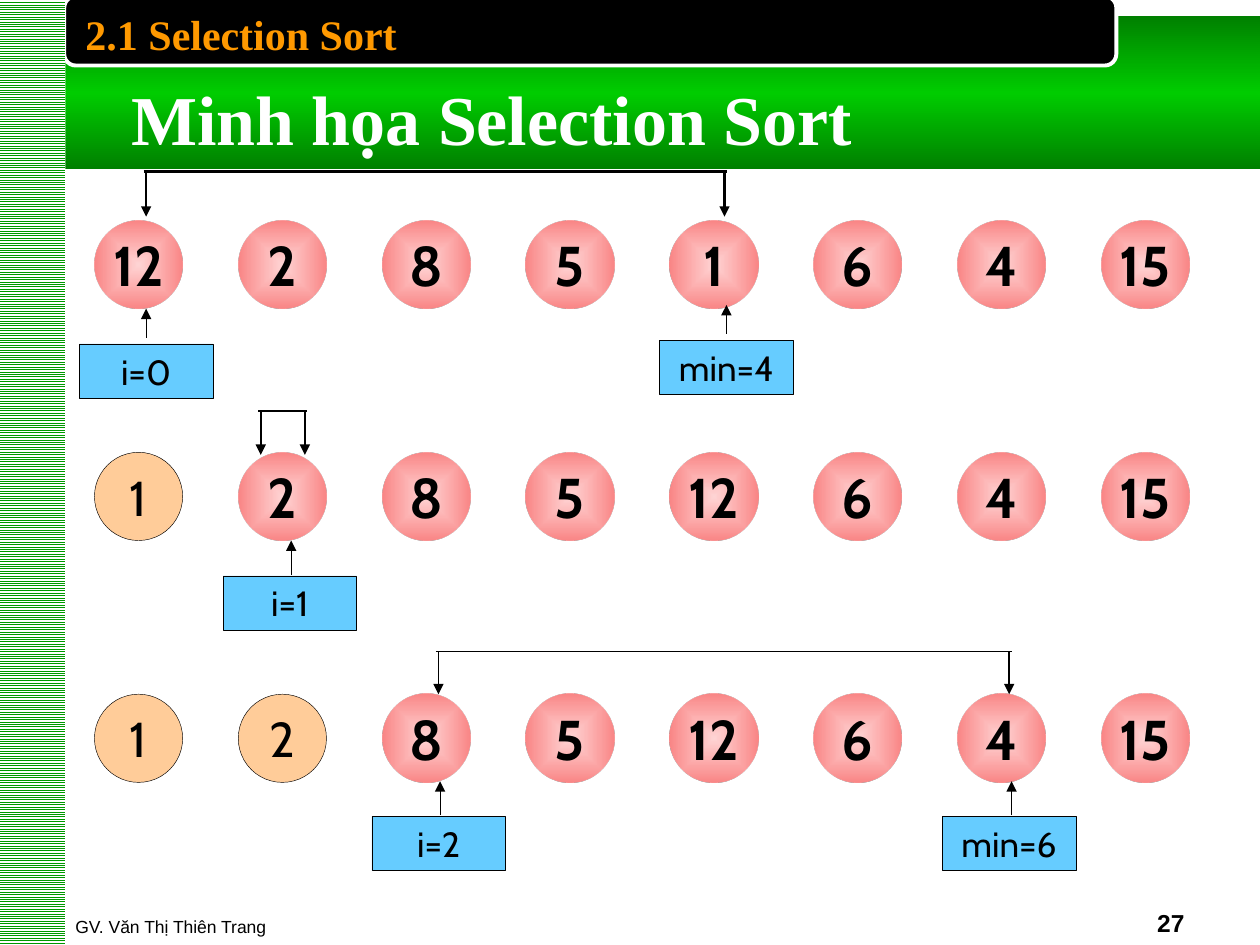
from lxml import etree
from pptx import Presentation
from pptx.dml.color import RGBColor
from pptx.enum.dml import MSO_PATTERN
from pptx.enum.shapes import MSO_CONNECTOR, MSO_SHAPE
from pptx.enum.text import MSO_ANCHOR, MSO_AUTO_SIZE, PP_ALIGN
from pptx.oxml.ns import qn
from pptx.util import Inches, Pt

RECT, ROUND, OVAL = MSO_SHAPE.RECTANGLE, MSO_SHAPE.ROUNDED_RECTANGLE, MSO_SHAPE.OVAL
LEFT, MID, RIGHT = PP_ALIGN.LEFT, PP_ALIGN.CENTER, PP_ALIGN.RIGHT
TOP, CENTER, BOTTOM = MSO_ANCHOR.TOP, MSO_ANCHOR.MIDDLE, MSO_ANCHOR.BOTTOM
STRAIGHT = MSO_CONNECTOR.STRAIGHT

COLORS = {
    "black": "000000", "white": "FFFFFF", "orange": "FF9900",
    "green": "008000", "lime": "00CC00", "stripe": "009900",
    "glow": "FF8989", "rose": "FA8686", "peach": "FFCC99", "sky": "66CCFF",
}
HEAD, BODY, NOTE = "Times New Roman", "Cabin", "Arial"

BALL = 0.7
STEP = 7.99 / 7
TAG_W, TAG_H = 1.06, 0.43

# swap: left, right, rise above the row, drop of the legs, line width
# tags: text, column, shift from that column, top below the row, arrow shift
PASSES = [
    {"top": 1.75, "values": [12, 2, 8, 5, 1, 6, 4, 15], "done": 0, "stem": 0.23,
     "swap": (0.39, 5.02, 0.39, 0.36, 1.5),
     "tags": [("i=0", 0, -0.12, 0.98, 0.53), ("min=4", 4, -0.08, 0.95, 0.53)]},
    {"top": 3.59, "values": [1, 2, 8, 5, 12, 6, 4, 15], "done": 1, "stem": 0.27,
     "swap": (1.3, 1.69, 0.33, 0.35, 1),
     "tags": [("i=1", 1, -0.12, 0.98, 0.54)]},
    {"top": 5.51, "values": [1, 2, 8, 5, 12, 6, 4, 15], "done": 2, "stem": 0.27,
     "swap": (2.71, 7.28, 0.34, 0.34, 1),
     "tags": [("i=2", 2, -0.08, 0.97, 0.54), ("min=6", 6, -0.12, 0.97, 0.55)]},
]


def rgb(name):
    return RGBColor.from_string(COLORS[name])


def write(shape, text, size, font, color="black", bold=False,
          align=LEFT, anchor=TOP, wrap=True):
    frame = shape.text_frame
    frame.auto_size = MSO_AUTO_SIZE.NONE
    frame.word_wrap = wrap
    frame.vertical_anchor = anchor
    para = frame.paragraphs[0]
    para.alignment = align
    run = para.add_run()
    run.text = text
    run.font.size = Pt(size)
    run.font.name = font
    run.font.bold = bold
    run.font.color.rgb = rgb(color)


def add_text(slide, box, *args, **style):
    write(slide.shapes.add_textbox(*map(Inches, box)), *args, **style)


def add_form(slide, kind, box, fill=None, edge=None, width=0.25):
    form = slide.shapes.add_shape(kind, *map(Inches, box))
    form.shadow.inherit = False
    if fill:
        form.fill.solid()
        form.fill.fore_color.rgb = rgb(fill)
    if edge:
        form.line.color.rgb = rgb(edge)
        form.line.width = Pt(width)
    else:
        form.line.fill.background()
    return form


def blend(form, stops, round_fill=False):
    """Fill with (percent, colour, opacity) stops, downwards or from the centre."""
    grad = etree.Element(qn("a:gradFill"), rotWithShape="1")
    items = etree.SubElement(grad, qn("a:gsLst"))
    for place, color, alpha in stops:
        stop = etree.SubElement(items, qn("a:gs"), pos=str(place * 1000))
        tint = etree.SubElement(stop, qn("a:srgbClr"), val=COLORS[color])
        if alpha < 100:
            etree.SubElement(tint, qn("a:alpha"), val=str(alpha * 1000))
    if round_fill:
        path = etree.SubElement(grad, qn("a:path"), path="shape")
        etree.SubElement(path, qn("a:fillToRect"), dict.fromkeys("ltrb", "50000"))
    else:
        etree.SubElement(grad, qn("a:lin"), ang="5400000", scaled="1")
    form.element.spPr.find(qn("a:prstGeom")).addnext(grad)


def add_line(slide, x1, y1, x2, y2, width, arrow=True):
    line = slide.shapes.add_connector(STRAIGHT, *map(Inches, (x1, y1, x2, y2)))
    line.line.color.rgb = rgb("black")
    line.line.width = Pt(width)
    props = line.element.spPr
    if arrow:
        etree.SubElement(props.find(qn("a:ln")), qn("a:tailEnd"), type="triangle")
    etree.SubElement(props, qn("a:effectLst"))


def add_frame(slide):
    """Banner, header tab and striped left edge."""
    band = add_form(slide, RECT, (0, 0.13, 10.01, 1.21))
    blend(band, [(0, "green", 100), (50, "lime", 100), (100, "green", 100)])
    add_form(slide, ROUND, (0.51, -0.03, 8.35, 0.55), "black", "white", 2.25)
    side = add_form(slide, RECT, (-0.01, 0, 0.53, 7.5))
    side.fill.patterned()
    side.fill.pattern = MSO_PATTERN.LIGHT_HORIZONTAL
    side.fill.fore_color.rgb = rgb("stripe")
    side.fill.back_color.rgb = rgb("white")


def add_heads(slide):
    title = slide.shapes.title
    title.left, title.top, title.width, title.height = map(
        Inches, (0.94, 0.55, 5.93, 0.77))
    write(title, "Minh họa Selection Sort", 40, HEAD, "white", True, wrap=False)
    slide.shapes.element.append(title.element)  # in front of the banner
    add_text(slide, (0.58, 0.02, 7.67, 0.5), "2.1 Selection Sort", 24, HEAD,
             "orange", True)


def add_foot(slide, top, height):
    add_text(slide, (0.5, top, 6.08, height), "GV. Văn Thị Thiên Trang", 10, NOTE,
             anchor=BOTTOM)
    add_text(slide, (7.17, top, 2.33, height), "27", 14, NOTE, bold=True,
             align=RIGHT, anchor=BOTTOM)


def add_ball(slide, x, y, value, done):
    box = (x, y, BALL, BALL)
    if done:
        ball = add_form(slide, OVAL, box, "peach", "black")
    else:
        ball = add_form(slide, OVAL, box)
        blend(ball, [(0, "glow", 35), (100, "rose", 100)], True)
    write(ball, str(value), 28 if done else 32, BODY, bold=not done,
          align=MID, anchor=CENTER, wrap=False)


def add_tag(slide, x, y, text, shift, stem):
    """Index label with an arrow up to its ball."""
    tag = add_form(slide, RECT, (x, y, TAG_W, TAG_H), "sky", "black")
    write(tag, text, 20, BODY, align=MID, anchor=CENTER, wrap=False)
    tip = y - 0.28
    add_line(slide, x + shift, tip + stem, x + shift, tip, 0.25)


def add_swap(slide, x1, x2, y, drop, width):
    """Bracket with an arrow down to each of two balls."""
    add_line(slide, x1, y, x2, y, width, arrow=False)
    for x in (x1 + 0.02, x2 - 0.02):
        add_line(slide, x, y, x, y + drop, width)


def add_pass(slide, left, top, values, done, stem, swap, tags):
    for col, value in enumerate(values):
        add_ball(slide, left + col * STEP, top, value, col < done)
    for text, col, dx, dy, shift in tags:
        add_tag(slide, left + col * STEP + dx, top + dy, text, shift, stem)
    x1, x2, rise, drop, width = swap
    add_swap(slide, left + x1, left + x2, top - rise, drop, width)


def main():
    deck = Presentation()
    deck.slide_width, deck.slide_height = Inches(10), Inches(7.5)
    slide = deck.slides.add_slide(deck.slide_layouts[5])
    add_frame(slide)
    add_foot(slide, 6.99, 0.5)
    for item in PASSES:
        add_pass(slide, 0.75, **item)
    add_heads(slide)
    deck.save("out.pptx")


if __name__ == "__main__":
    main()
